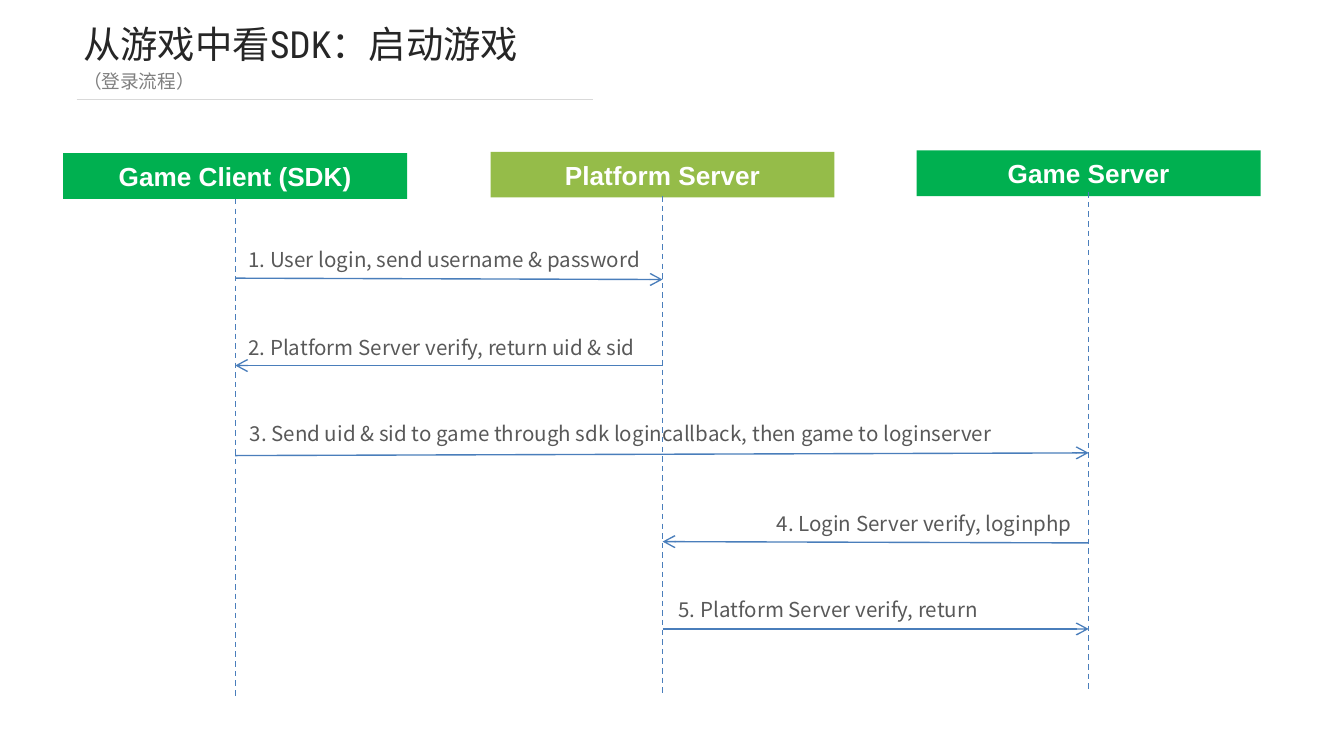
from lxml import etree
from pptx import Presentation
from pptx.dml.color import RGBColor
from pptx.enum.dml import MSO_LINE_DASH_STYLE as DASH
from pptx.enum.shapes import MSO_CONNECTOR, MSO_SHAPE
from pptx.enum.text import MSO_ANCHOR, PP_ALIGN
from pptx.oxml.ns import qn
from pptx.util import Inches, Pt

COLORS = {
    "title": "262626", "subtitle": "808080", "rule": "D9D9D9",
    "green": "00B050", "olive": "95BC49", "white": "FFFFFF",
    "line": "4A7EBB", "label": "595959",
}
CJK = "Noto Sans CJK SC"
SLIDE_W = 10
SLIDE_H = SLIDE_W * 9 / 16

# Headings: text, top, height, size, font, colour
HEADINGS = [
    ("从游戏中看SDK：启动游戏", 0.11, 0.44, 20, "Roboto Condensed", "title"),
    ("（登录流程）", 0.47, 0.27, 10, "Arial", "subtitle"),
]

# Actors: name, box left, box top, lifeline top, fill
ACTORS = [
    ("Game Client (SDK)", 0.47, 1.14, 1.48, "green"),
    ("Platform Server", 3.65, 1.13, 1.46, "olive"),
    ("Game Server", 6.82, 1.12, 1.43, "green"),
]
BOX_W, BOX_H = 2.56, 0.34
LIFELINE_H = 3.7

# Messages: text, sender, receiver, start y, end y, label left, top, width
CLIENT, PLATFORM, GAME = range(3)
MESSAGES = [
    ("1. User login, send username & password",
     CLIENT, PLATFORM, 2.07, 2.08, 1.75, 1.7, 3.3),
    ("2. Platform Server verify, return uid & sid",
     PLATFORM, CLIENT, 2.72, 2.72, 1.75, 2.35, 3.3),
    ("3. Send uid & sid to game through sdk logincallback, then game to loginserver",
     CLIENT, GAME, 3.39, 3.37, 1.76, 2.99, 6.83),
    ("4. Login Server verify, loginphp",
     GAME, PLATFORM, 4.04, 4.03, 5.68, 3.66, 2.91),
    ("5. Platform Server verify, return",
     PLATFORM, GAME, 4.68, 4.68, 4.95, 4.3, 3.05),
]


def rgb(name):
    return RGBColor.from_string(COLORS[name])


def write(sp, text, size, font, color, bold=False):
    tf = sp.text_frame
    tf.word_wrap = True
    p = tf.paragraphs[0]
    r = p.add_run()
    r.text = text
    r.font.size, r.font.name, r.font.bold = Pt(size), font, bold
    r.font.color.rgb = rgb(color)
    # Chinese characters take their own typeface
    etree.SubElement(r.font._element, qn("a:ea"), typeface=CJK)
    return p


def add_text(left, top, width, height, *style):
    sp = slide.shapes.add_textbox(*map(Inches, (left, top, width, height)))
    return write(sp, *style)


def add_line(x1, y1, x2, y2, color, dash=None, arrow=False):
    s = slide.shapes.add_connector(
        MSO_CONNECTOR.STRAIGHT, *map(Inches, (x1, y1, x2, y2)))
    s.line.color.rgb = rgb(color)
    s.line.width = Pt(0.75)
    if dash:
        s.line.dash_style = dash
    if arrow:
        etree.SubElement(s.line._get_or_add_ln(), qn("a:tailEnd"), type="arrow")
    etree.SubElement(s._element.spPr, qn("a:effectLst"))


prs = Presentation()
prs.slide_width, prs.slide_height = Inches(SLIDE_W), Inches(SLIDE_H)
slide = prs.slides.add_slide(prs.slide_layouts[6])

# Title, subtitle and rule
for text, top, height, size, font, color in HEADINGS:
    add_text(0.52, top, 4.23, height, text, size, font, color)
add_line(0.57, 0.74, 4.41, 0.74, "rule")

# Actor boxes with lifelines
centers = []
for name, left, top, line_top, fill in ACTORS:
    x = left + BOX_W / 2
    centers.append(x)
    sp = slide.shapes.add_shape(
        MSO_SHAPE.RECTANGLE, *map(Inches, (left, top, BOX_W, BOX_H)))
    sp.shadow.inherit = False
    sp.fill.solid()
    sp.fill.fore_color.rgb = rgb(fill)
    sp.line.fill.background()
    sp.text_frame.vertical_anchor = MSO_ANCHOR.MIDDLE
    p = write(sp, name, 14, "Arial", "white", bold=True)
    p.alignment = PP_ALIGN.CENTER
    add_line(x, line_top, x, line_top + LIFELINE_H, "line", dash=DASH.DASH)

# Message arrows and labels
for text, sender, receiver, y1, y2, left, top, width in MESSAGES:
    add_line(centers[sender], y1, centers[receiver], y2, "line", arrow=True)
    p = add_text(left, top, width, 0.38, text, 11, CJK, "label")
    p.line_spacing = 1.5

prs.save("out.pptx")
